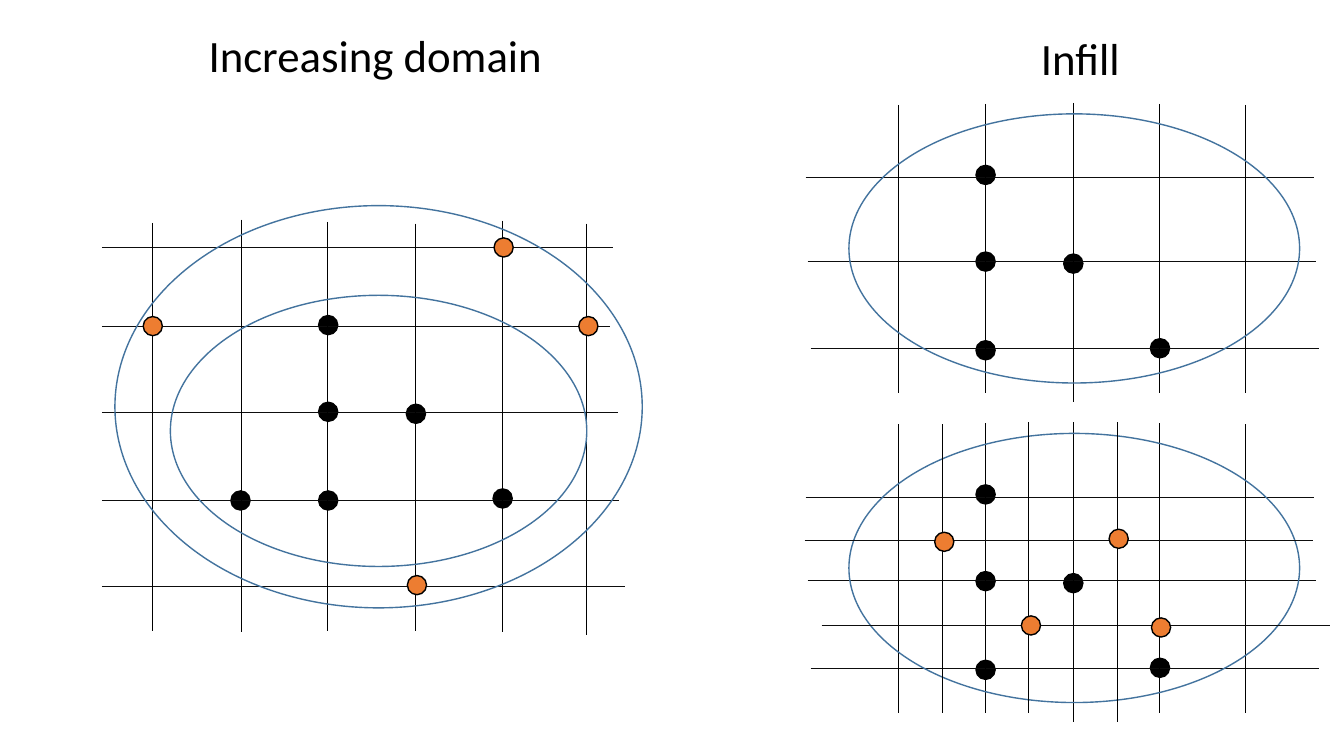
from lxml import etree
from pptx import Presentation
from pptx.dml.color import RGBColor
from pptx.enum.shapes import MSO_CONNECTOR, MSO_SHAPE
from pptx.enum.text import MSO_AUTO_SIZE, PP_ALIGN
from pptx.oxml.ns import qn
from pptx.util import Inches, Pt

OVAL = MSO_SHAPE.OVAL
STRAIGHT = MSO_CONNECTOR.STRAIGHT
GROW = MSO_AUTO_SIZE.SHAPE_TO_FIT_TEXT
LEFT, CENTER = PP_ALIGN.LEFT, PP_ALIGN.CENTER

COLORS = {"black": "000000", "row": "0D0D0D", "new": "ED7D31", "ring": "43739E"}
DOT = 0.19
SHIFT = 3.17

WIDE_OLD = [(3.16, 4.87), (3.16, 3.13), (2.29, 4.87), (3.16, 3.99),
            (4.03, 4.01), (4.89, 4.85)]
WIDE_NEW = [(4.9, 2.36), (1.42, 3.14), (5.74, 3.14), (4.04, 5.71)]
WIDE_ROWS = [(2.45, 6.08), (3.24, 6.05), (4.09, 6.13), (4.96, 6.14), (5.82, 6.2)]
WIDE_COLS = [(1.51, 2.21, 6.26), (2.39, 2.18, 6.27), (3.25, 2.2, 6.26),
             (4.12, 2.22, 6.26), (4.98, 2.19, 6.27), (5.82, 2.22, 6.3)]
WIDE_RINGS = [(1.69, 2.93, 4.13, 2.69), (1.14, 2.04, 5.23, 3.99)]

FILL_OLD = [(9.68, 3.38), (9.68, 1.64), (9.68, 2.5), (10.55, 2.52), (11.41, 3.36)]
FILL_NEW = [(9.27, 5.28), (11, 5.25), (11.42, 6.13), (10.13, 6.11)]
FILL_ROWS = [(7.99, 1.76), (8.01, 2.59), (8.04, 3.46)]
FILL_COLS = [(8.91, 1.04, 3.9), (9.77, 1.03, 3.9), (10.65, 1.02, 3.99),
             (11.5, 1.03, 3.9), (12.35, 1.04, 3.9)]
MID_ROWS = [(7.98, 5.36), (8.15, 6.2)]
MID_COLS = [(9.35, 4.21, 7.07), (10.2, 4.19, 7.07), (11.08, 4.19, 7.16)]
ROW_WIDTH = 5.04


def rgb(name):
    """Return a named colour."""
    return RGBColor.from_string(COLORS[name])


def add_oval(slide, box, line, fill=None):
    """Draw an ellipse, hollow unless a fill is named."""
    oval = slide.shapes.add_shape(OVAL, *map(Inches, box))
    oval.shadow.inherit = False
    if fill:
        oval.fill.solid()
        oval.fill.fore_color.rgb = rgb(fill)
    else:
        oval.fill.background()
    oval.line.color.rgb = rgb(line)
    oval.line.width = Pt(1)


def add_dots(slide, spots, fill):
    """Draw sample points from their top left corners."""
    for x, y in spots:
        add_oval(slide, (x, y, DOT, DOT), "black", fill)


def add_line(slide, ends, color):
    """Draw a thin grid line."""
    line = slide.shapes.add_connector(STRAIGHT, *map(Inches, ends))
    line.line.color.rgb = rgb(color)
    line.line.width = Pt(0.5)
    etree.SubElement(line._element.spPr, qn("a:effectLst"))


def add_grid(slide, rows, cols):
    """Draw rows as (left, right, y) and columns as (x, top, bottom)."""
    for left, right, y in rows:
        add_line(slide, (left, y, right, y), "row")
    for x, top, bottom in cols:
        add_line(slide, (x, top, x, bottom), "black")


def add_title(slide, text, box, align):
    """Write the heading of one half."""
    frame = slide.shapes.add_textbox(*map(Inches, box)).text_frame
    frame.word_wrap = True
    frame.auto_size = GROW
    para = frame.paragraphs[0]
    para.text = text
    para.alignment = align
    para.font.name = "Calibri"
    para.font.size = Pt(32)
    para.font.color.rgb = rgb("black")


def add_wide(slide):
    """Draw the growing domain."""
    add_dots(slide, WIDE_OLD, "black")
    add_grid(slide, [(1.01, right, y) for y, right in WIDE_ROWS], WIDE_COLS)
    for ring in WIDE_RINGS:
        add_oval(slide, ring, "ring")
    add_dots(slide, WIDE_NEW, "new")


def fill_rows(rows, down=0):
    """Give equal-width rows their right ends."""
    return [(x, x + ROW_WIDTH, y + down) for x, y in rows]


def add_fixed(slide, down):
    """Draw the fixed domain, moved down by a given length."""
    add_dots(slide, [(x, y + down) for x, y in FILL_OLD], "black")
    cols = [(x, top + down, bottom + down) for x, top, bottom in FILL_COLS]
    add_grid(slide, fill_rows(FILL_ROWS, down), cols)
    add_oval(slide, (8.42, 1.13 + down, 4.47, 2.67), "ring")


def main():
    """Build the slide and save it."""
    deck = Presentation()
    deck.slide_width, deck.slide_height = Inches(13.33), Inches(7.5)
    slide = deck.slides.add_slide(deck.slide_layouts[6])
    add_wide(slide)
    add_title(slide, "Increasing domain", (1.97, 0.23, 4.17, 0.64), LEFT)
    for down in (0, SHIFT):
        add_fixed(slide, down)
    add_grid(slide, fill_rows(MID_ROWS), MID_COLS)
    add_dots(slide, FILL_NEW, "new")
    add_title(slide, "Infill", (8.85, 0.26, 3.73, 0.64), CENTER)
    deck.save("out.pptx")


if __name__ == "__main__":
    main()
